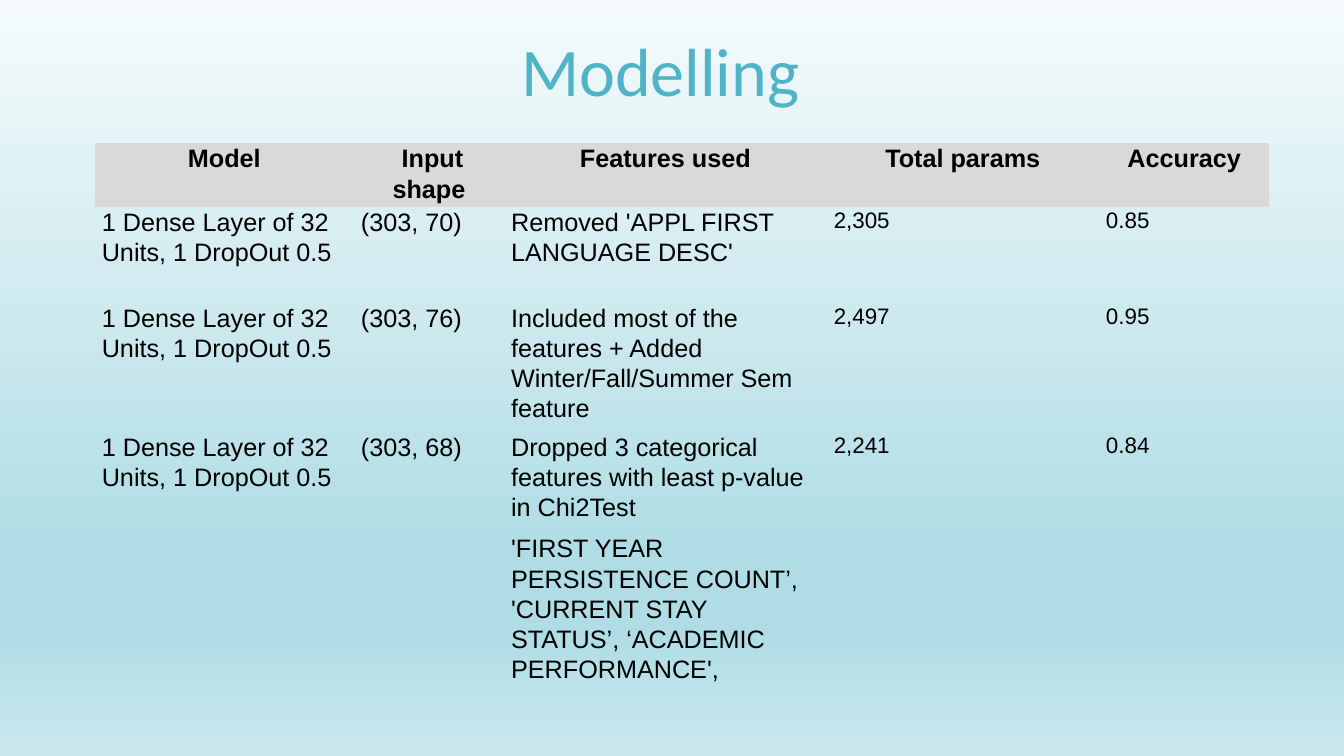
from lxml import etree
from pptx import Presentation
from pptx.dml.color import RGBColor
from pptx.enum.text import MSO_ANCHOR, PP_ALIGN
from pptx.oxml.ns import qn
from pptx.util import Inches, Pt

BLACK = RGBColor(0x00, 0x00, 0x00)
HEADER_GREY = RGBColor(0xD9, 0xD9, 0xD9)
TITLE_BLUE = RGBColor(0x50, 0xB4, 0xC8)
PALE_BLUE = RGBColor(0xF5, 0xFB, 0xFC)
MID_BLUE = RGBColor(0xAF, 0xDC, 0xE5)
LIGHT_BLUE = RGBColor(0xC9, 0xE8, 0xEE)

BACKGROUND_STOPS = [(0, PALE_BLUE), (74, MID_BLUE), (83, MID_BLUE), (100, LIGHT_BLUE)]
PLAIN_TABLE_STYLE = "{2D5ABB26-0587-4C30-8999-92F81FD0307C}"

COLUMN_WIDTHS = [2.57, 1.49, 3.2, 2.7, 1.69]
ROW_HEIGHTS = [0.63, 0.95, 1.28, 3.08]
COLUMN_SIZES = [18, 18, 18, 16, 16]

HEADERS = ["Model", " Input shape", "Features used", "Total params", "Accuracy"]
MODEL = "1 Dense Layer of 32 Units, 1 DropOut 0.5"
RESULTS = [
    [MODEL, "(303, 70)", "Removed 'APPL FIRST LANGUAGE DESC'", "2,305", "0.85"],
    [MODEL, "(303, 76)",
     "Included most of the features + Added Winter/Fall/Summer Sem feature",
     "2,497", "0.95"],
    [MODEL, "(303, 68)",
     "Dropped 3 categorical features with least p-value in Chi2Test\n"
     "'FIRST YEAR PERSISTENCE COUNT’, 'CURRENT STAY STATUS’, ‘ACADEMIC PERFORMANCE',",
     "2,241", "0.84"],
]


def set_background(slide):
    slide.background.fill.gradient()
    gradient = slide.element.find(".//" + qn("a:gradFill"))
    stops = gradient.find(qn("a:gsLst"))
    for stop in list(stops):
        stops.remove(stop)
    for percent, color in BACKGROUND_STOPS:
        stop = etree.SubElement(stops, qn("a:gs"), pos=str(percent * 1000))
        etree.SubElement(stop, qn("a:srgbClr"), val=str(color))
    gradient.find(qn("a:lin")).set("ang", str(90 * 60000))


def format_paragraph(paragraph, font_name, size, color, alignment, line_spacing, bold=False):
    paragraph.alignment = alignment
    paragraph.line_spacing = line_spacing
    for run in paragraph.runs:
        run.font.name = font_name
        run.font.size = Pt(size)
        run.font.color.rgb = color
        run.font.bold = bold


def set_title(slide, text):
    title = slide.shapes.title
    title.left, title.top = Inches(0.66), Inches(0.33)
    title.width, title.height = Inches(11.78), Inches(0.84)
    title.text_frame.text = text
    title.text_frame.vertical_anchor = MSO_ANCHOR.MIDDLE
    format_paragraph(title.text_frame.paragraphs[0], "Calibri", 48.6, TITLE_BLUE,
                     PP_ALIGN.CENTER, 0.85)


def fill_cell(cell, text, size, is_header):
    cell.margin_left = cell.margin_right = Inches(0.07)
    cell.margin_top = cell.margin_bottom = 0
    if is_header:
        cell.fill.solid()
        cell.fill.fore_color.rgb = HEADER_GREY
    else:
        cell.fill.background()
    cell.text_frame.text = text
    alignment = PP_ALIGN.CENTER if is_header else PP_ALIGN.LEFT
    for paragraph in cell.text_frame.paragraphs:
        format_paragraph(paragraph, "Arial", size, BLACK, alignment, 1.07, is_header)
        paragraph.space_after = Pt(8)


def add_results_table(slide):
    rows = [HEADERS] + RESULTS
    frame = slide.shapes.add_table(
        len(rows), len(HEADERS), Inches(0.94), Inches(1.42),
        Inches(sum(COLUMN_WIDTHS)), Inches(sum(ROW_HEIGHTS)))
    table = frame.table
    table.first_row = table.horz_banding = False
    frame.element.find(".//" + qn("a:tableStyleId")).text = PLAIN_TABLE_STYLE
    for column, width in zip(table.columns, COLUMN_WIDTHS):
        column.width = Inches(width)
    for row, height in zip(table.rows, ROW_HEIGHTS):
        row.height = Inches(height)
    for row_index, texts in enumerate(rows):
        is_header = row_index == 0
        for column_index, text in enumerate(texts):
            size = 18 if is_header else COLUMN_SIZES[column_index]
            fill_cell(table.cell(row_index, column_index), text, size, is_header)


def main():
    presentation = Presentation()
    presentation.slide_width = Inches(13.33)
    presentation.slide_height = Inches(7.5)
    slide = presentation.slides.add_slide(presentation.slide_layouts[5])
    set_background(slide)
    set_title(slide, "Modelling")
    add_results_table(slide)
    presentation.save("out.pptx")


main()
